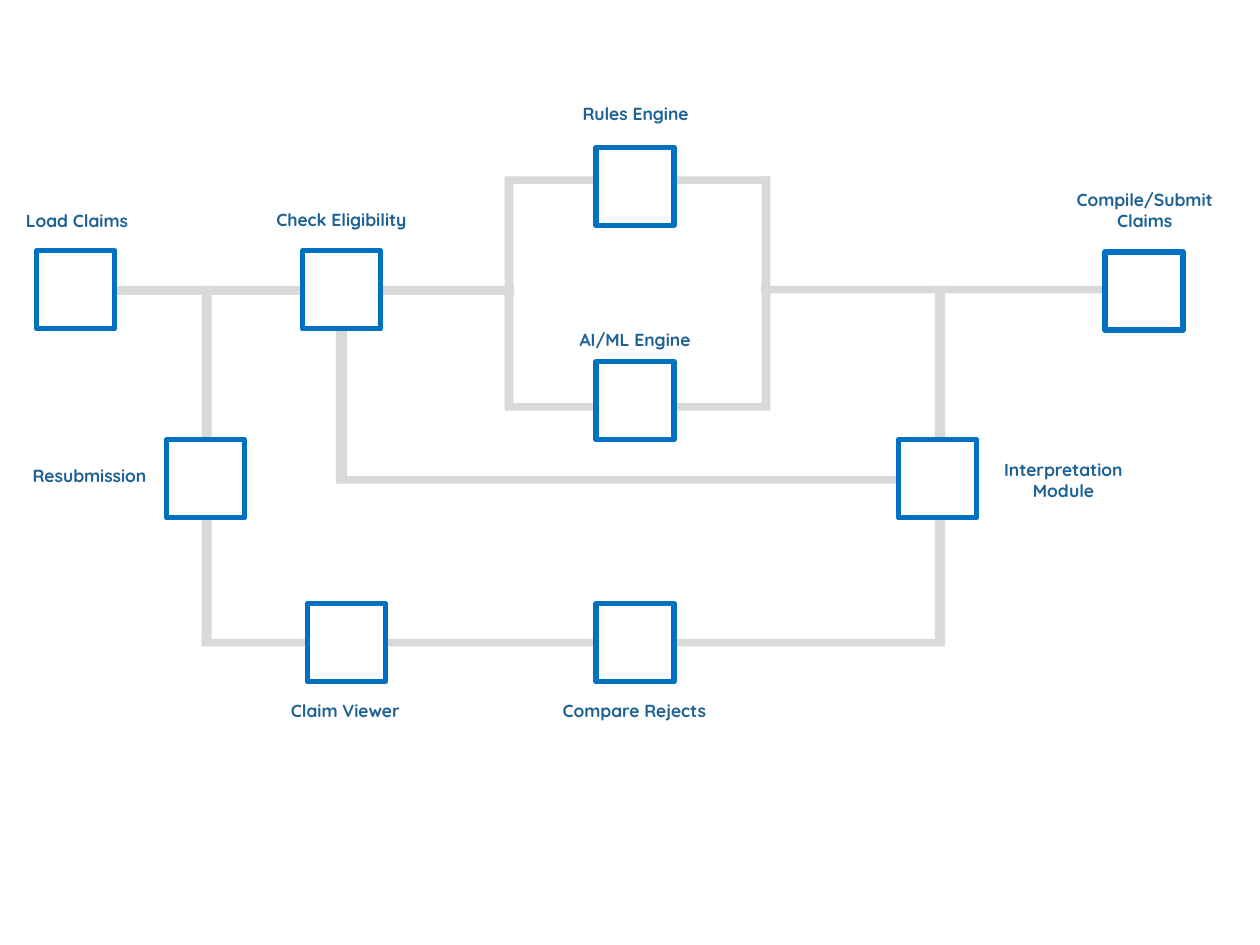
import pptx
import pptx.util
import pptx.dml.color
import pptx.enum.shapes
import pptx.enum.text
from dataclasses import dataclass

Inches = pptx.util.Inches


@dataclass(frozen=True)
class Theme:
    track: str = "D9D9D9"
    box_fill: str = "FFFFFF"
    box_line: str = "0070C0"
    label: str = "1D6294"
    font: str = "Quicksand"
    label_size: int = 10
    line_width: int = 3
    box_side: float = 0.62


def rgb(code):
    return pptx.dml.color.RGBColor.from_string(code)


def apply(target, values):
    for name, value in values.items():
        setattr(target, name, value)


class Diagram:
    def __init__(self, slide, theme):
        self.slide = slide
        self.theme = theme

    def rectangle(self, left, top, width, height, fill):
        shape = self.slide.shapes.add_shape(
            pptx.enum.shapes.MSO_SHAPE.RECTANGLE,
            Inches(left), Inches(top), Inches(width), Inches(height))
        shape.shadow.inherit = False
        shape.fill.solid()
        shape.fill.fore_color.rgb = rgb(fill)
        return shape

    def track(self, left, top, length, thickness):
        bar = self.rectangle(left, top, length, thickness, self.theme.track)
        bar.line.fill.background()
        return bar

    def riser(self, center_x, top, length, thickness):
        """A track turned upright about its centre."""
        bar = self.track(center_x - length / 2,
                         top + (length - thickness) / 2, length, thickness)
        bar.rotation = 90

    def box(self, left, top):
        side = self.theme.box_side
        step = self.rectangle(left, top, side, side, self.theme.box_fill)
        step.line.color.rgb = rgb(self.theme.box_line)
        step.line.width = pptx.util.Pt(self.theme.line_width)

    def label(self, text, left, top, width, height):
        caption = self.slide.shapes.add_textbox(
            Inches(left), Inches(top), Inches(width), Inches(height))
        frame = caption.text_frame
        apply(frame, {
            "word_wrap": True,
            "auto_size": pptx.enum.text.MSO_AUTO_SIZE.SHAPE_TO_FIT_TEXT})
        paragraph = frame.paragraphs[0]
        paragraph.alignment = pptx.enum.text.PP_ALIGN.CENTER
        run = paragraph.add_run()
        run.text = text
        apply(run.font, {
            "name": self.theme.font, "bold": True,
            "size": pptx.util.Pt(self.theme.label_size)})
        run.font.color.rgb = rgb(self.theme.label)


deck = pptx.Presentation()
apply(deck, {"slide_width": Inches(10), "slide_height": Inches(7.5)})
diagram = Diagram(deck.slides.add_slide(deck.slide_layouts[6]), Theme())

# Horizontal tracks: left, top, length, thickness
horizontal_tracks = [
    (1.6, 5.07, 5.9, 0.06),    # resubmission loop
    (2.67, 3.78, 4.49, 0.06),  # eligibility to interpretation
    (4.05, 1.4, 0.79, 0.06),   # into and out of the rules engine
    (5.35, 1.4, 0.76, 0.06),
    (4.01, 3.2, 0.81, 0.06),   # into and out of the AI/ML engine
    (5.12, 3.2, 0.99, 0.06),
    (0.93, 2.27, 3.15, 0.07),  # loading to the engines
    (6.04, 2.27, 2.73, 0.06),  # engines to submission
]
for placement in horizontal_tracks:
    diagram.track(*placement)

# Upright tracks: centre x, top, length, thickness
upright_tracks = [
    (1.64, 2.27, 2.83, 0.08),  # both sides of the resubmission loop
    (7.46, 2.27, 2.83, 0.08),
    (2.71, 2.61, 1.21, 0.09),  # down from eligibility
    (4.04, 1.4, 1.85, 0.07),   # both sides of the engines
    (6.08, 1.4, 1.85, 0.07),
]
for placement in upright_tracks:
    diagram.riser(*placement)

# Steps: name, box left and top, label left, top, width and height
ONE_LINE, TWO_LINES = 0.27, 0.44
steps = [
    ("Load Claims", (0.29, 1.99), (0.07, 1.62, 1.08, ONE_LINE)),
    ("Check Eligibility", (2.4, 1.99), (2.08, 1.61, 1.26, ONE_LINE)),
    ("Rules Engine", (4.73, 1.17), (4.51, 0.77, 1.07, ONE_LINE)),
    ("AI/ML Engine", (4.73, 2.87), (4.46, 2.56, 1.16, ONE_LINE)),
    ("Compile/Submit Claims", (8.77, 2), (8.41, 1.45, 1.35, TWO_LINES)),
    ("Interpretation Module", (7.13, 3.49), (7.81, 3.59, 1.26, TWO_LINES)),
    ("Compare Rejects", (4.73, 4.79), (4.33, 5.51, 1.41, ONE_LINE)),
    ("Claim Viewer", (2.44, 4.79), (2.18, 5.51, 1.12, ONE_LINE)),
    ("Resubmission", (1.32, 3.49), (0.15, 3.64, 1.12, ONE_LINE)),
]
for name, corner, label_area in steps:
    diagram.box(*corner)
    diagram.label(name, *label_area)

deck.save("out.pptx")
